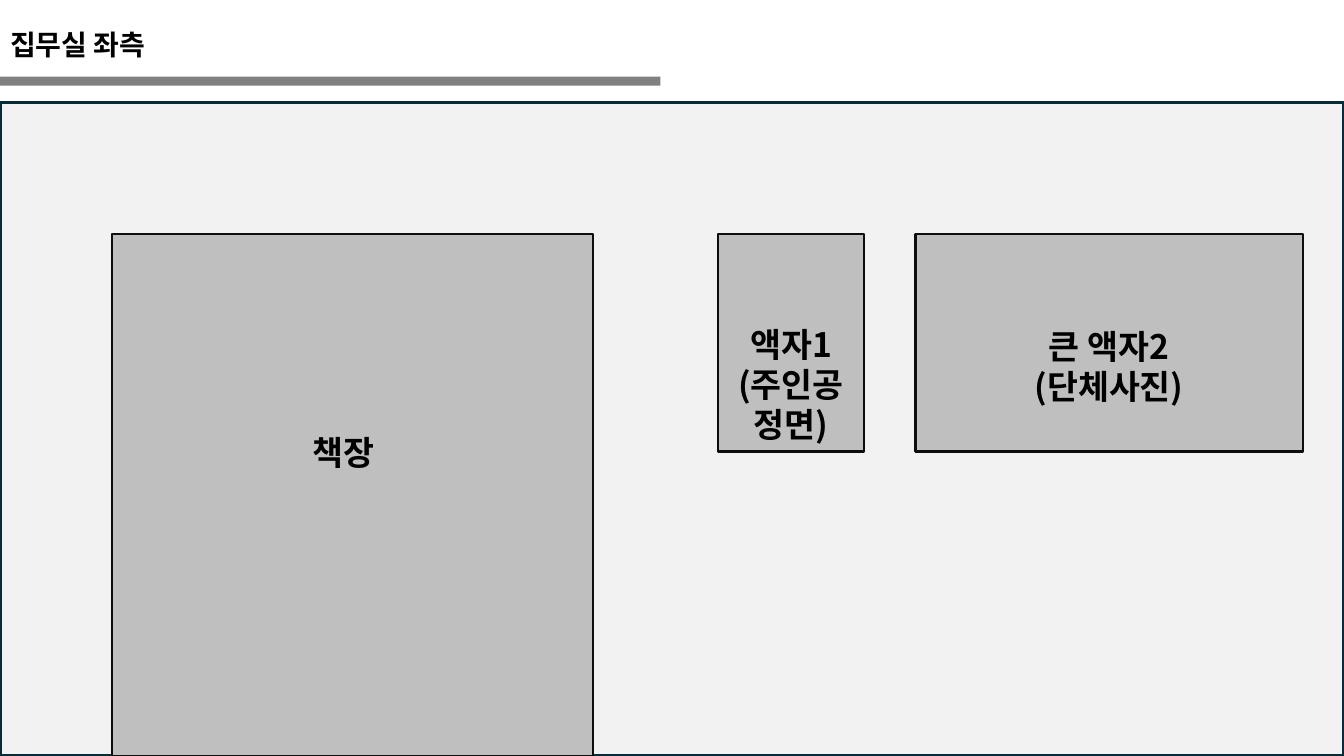
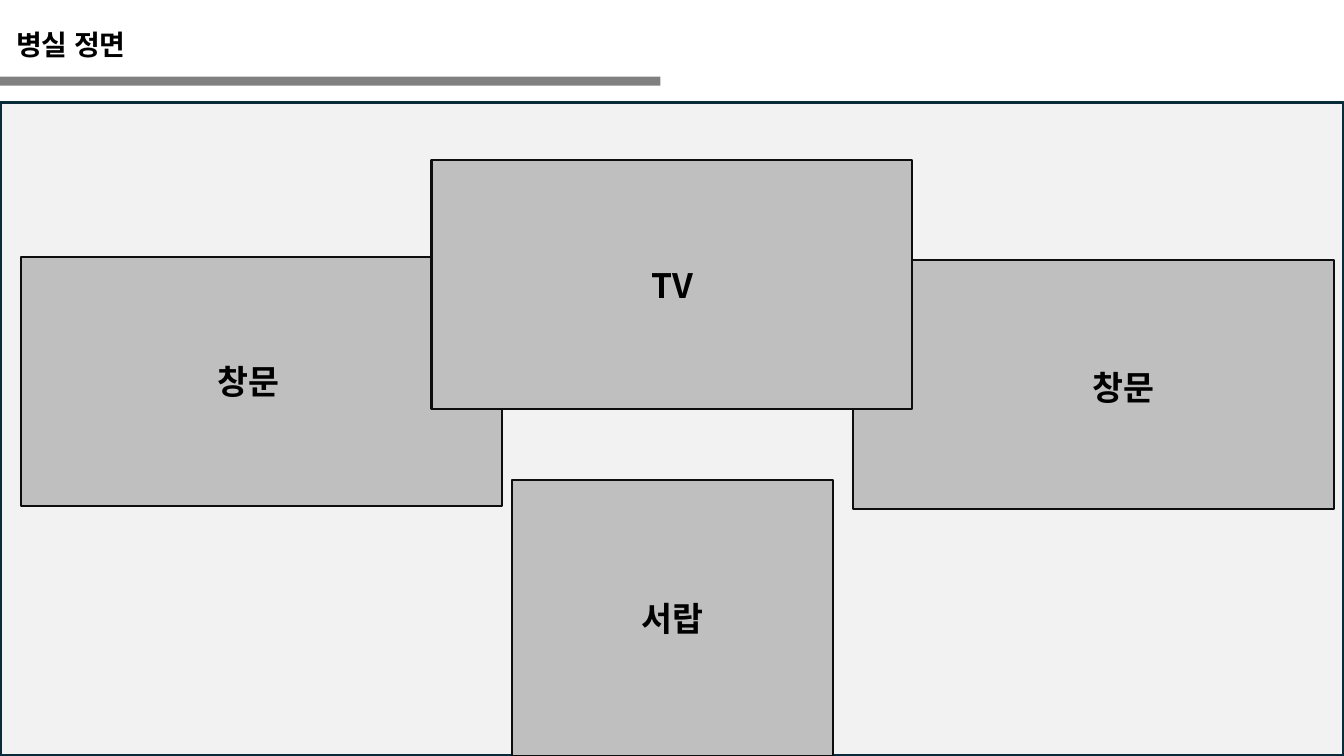
from lxml import etree
from pptx import Presentation
from pptx.dml.color import RGBColor
from pptx.enum.shapes import MSO_SHAPE
from pptx.enum.text import MSO_ANCHOR, MSO_AUTO_SIZE, PP_ALIGN
from pptx.oxml.ns import qn
from pptx.util import Inches, Pt

RECTANGLE = MSO_SHAPE.RECTANGLE
MIDDLE = MSO_ANCHOR.MIDDLE
NO_AUTOFIT = MSO_AUTO_SIZE.NONE
LEFT, CENTER = PP_ALIGN.LEFT, PP_ALIGN.CENTER

FONT = "Noto Sans CJK KR"
COLORS = {
    "text": "000000",
    "rule": "808080",
    "wall": "F2F2F2",
    "wall_line": "092A39",
    "item": "BFBFBF",
    "item_line": "0D0D0D",
}
SLIDE_WIDTH, SLIDE_HEIGHT = 13.33, 7.5
TITLE_BOX = (0, 0.22, 4.66, 0.44)
RULE_BOX = (0, 0.76, 6.55, 0.09)
WALL_BOX = (0, 1.02, SLIDE_WIDTH, SLIDE_HEIGHT - 1.02)

# Each item: label, box within the wall, shift of the label from the box centre
OFFICE_LEFT = [
    ("책장", (1.11, 1.3, 4.77, 5.18), (-0.09, -0.43)),
    ("액자1\n(주인공\n정면)", (7.12, 1.3, 1.45, 2.16), (0, 0.41)),
    ("큰 액자2\n(단체사진)", (9.08, 1.3, 3.84, 2.16), (0, 0.23)),
]
WARD_FRONT = [
    ("창문", (8.46, 1.56, 4.77, 2.47), (0.3, 0.03)),
    ("창문", (0.21, 1.53, 4.77, 2.47), (-0.13, 0)),
    ("TV", (4.28, 0.57, 4.77, 2.47), (0, 0)),
    ("서랍", (5.08, 3.74, 3.18, 2.74), (0, 0)),
]


def color(name):
    return RGBColor.from_string(COLORS[name])


def write_text(frame, text, size, align, margins):
    """Fill a text frame; margins are left, top, right and bottom in inches."""
    frame.text = text
    settings = {"word_wrap": True, "vertical_anchor": MIDDLE, "auto_size": NO_AUTOFIT}
    for side, margin in zip(("left", "top", "right", "bottom"), margins):
        settings[f"margin_{side}"] = Inches(margin)
    for name, value in settings.items():
        setattr(frame, name, value)
    for para in frame.paragraphs:
        para.alignment = align
        for span in para.runs:
            for name, value in {"name": FONT, "size": Pt(size), "bold": True}.items():
                setattr(span.font, name, value)
            span.font.color.rgb = color("text")
            east_asian = etree.SubElement(span.font._element, qn("a:ea"))
            east_asian.set("typeface", FONT)


def add_rectangle(slide, box, fill, line=None, line_width=0):
    shape = slide.shapes.add_shape(RECTANGLE, *map(Inches, box))
    shape.shadow.inherit = False
    shape.fill.solid()
    shape.fill.fore_color.rgb = color(fill)
    if line:
        shape.line.color.rgb = color(line)
        shape.line.width = Pt(line_width)
    else:
        shape.line.fill.background()
    return shape


def add_header(slide, text, indent):
    title = slide.shapes.title
    for name, value in zip(("left", "top", "width", "height"), TITLE_BOX):
        setattr(title, name, Inches(value))
    write_text(title.text_frame, text, 20, LEFT, (0.1 + indent, 0.05, 0.1, 0.05))
    add_rectangle(slide, RULE_BOX, "rule")


def add_item(slide, wall_box, label, box, shift):
    """Draw a labelled item; uneven margins move its label off centre."""
    left, top, width, height = box
    placed = (wall_box[0] + left, wall_box[1] + top, width, height)
    shape = add_rectangle(slide, placed, "item", "item_line", 1.5)
    across, down = shift
    margins = [max(0, 2 * move) for move in (across, down, -across, -down)]
    write_text(shape.text_frame, label, 24, CENTER, margins)


def add_wall(slide, box, items):
    add_rectangle(slide, box, "wall", "wall_line", 2.25)
    for label, item_box, shift in items:
        add_item(slide, box, label, item_box, shift)


def add_room_slide(deck, title, items, indent=0):
    slide = deck.slides.add_slide(deck.slide_layouts.get_by_name("Title Only"))
    add_header(slide, title, indent)
    add_wall(slide, WALL_BOX, items)


def main():
    deck = Presentation()
    deck.slide_width = Inches(SLIDE_WIDTH)
    deck.slide_height = Inches(SLIDE_HEIGHT)
    add_room_slide(deck, "집무실 좌측", OFFICE_LEFT)
    add_room_slide(deck, "병실 정면", WARD_FRONT, indent=0.06)
    deck.save("out.pptx")


if __name__ == "__main__":
    main()
